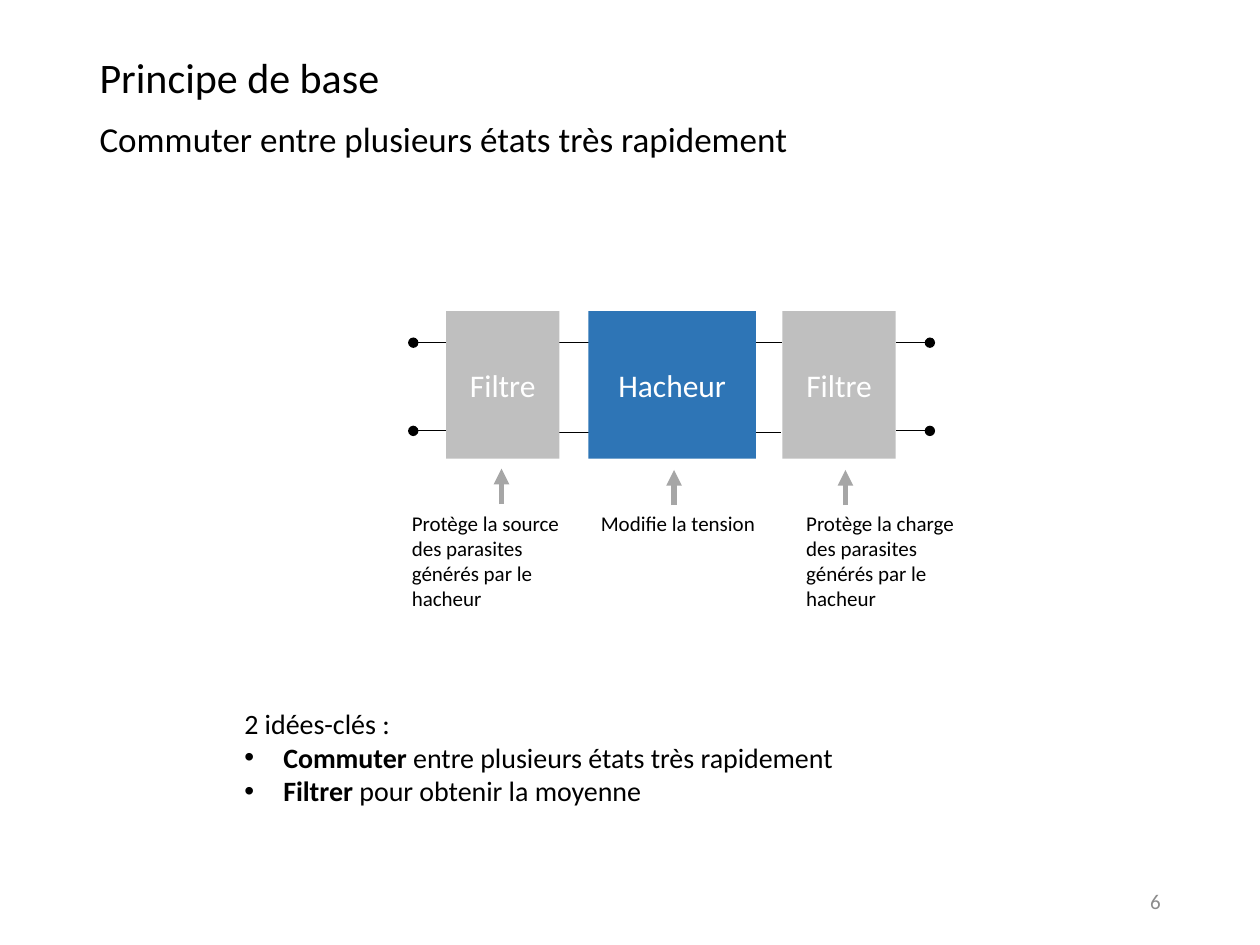
from dataclasses import dataclass

from lxml import etree
from pptx import Presentation
from pptx.dml.color import RGBColor
from pptx.enum.shapes import MSO_CONNECTOR, MSO_SHAPE
from pptx.enum.text import MSO_ANCHOR, MSO_AUTO_SIZE, PP_ALIGN
from pptx.oxml.ns import qn
from pptx.util import Inches, Pt

LINE, RECT = MSO_CONNECTOR.STRAIGHT, MSO_SHAPE.RECTANGLE
LEFT, MID, RIGHT = PP_ALIGN.LEFT, PP_ALIGN.CENTER, PP_ALIGN.RIGHT
TOP, CENTER = MSO_ANCHOR.TOP, MSO_ANCHOR.MIDDLE
FIXED = MSO_AUTO_SIZE.NONE

BLACK = RGBColor(0x00, 0x00, 0x00)
WHITE = RGBColor(0xFF, 0xFF, 0xFF)
SILVER = RGBColor(0xBF, 0xBF, 0xBF)
GREY = RGBColor(0xA6, 0xA6, 0xA6)
DIM = RGBColor(0x8C, 0x8C, 0x8C)
BLUE = RGBColor(0x2E, 0x75, 0xB6)
FONT = "Calibri"


@dataclass
class Wire:
    start: tuple[float, float]
    end: tuple[float, float]
    color: RGBColor = BLACK
    width: float = 0.5
    head: str = ""
    tail: str = ""


@dataclass
class Stage:
    label: str
    left: float
    width: float
    fill: RGBColor


@dataclass
class Note:
    text: str
    left: float
    tip: tuple[float, float]
    height: float


WIRES = [Wire((4.43, 3.43), (6.2, 3.43)), Wire((4.44, 2.72), (6.21, 2.72))]
WIRES += [
    Wire((outer, y), (inner, y), head="oval")
    for outer, inner in ((3.28, 3.54), (7.38, 7.11))
    for y in (2.72, 3.42)
]
STAGES = [
    Stage("Filtre", 3.54, 0.9, SILVER),
    Stage("Filtre", 6.21, 0.9, SILVER),
    Stage("Hacheur", 4.67, 1.33, BLUE),
]
NOTES = [
    Note("Protège la source des parasites générés par le hacheur",
         3.17, (3.98, 3.72), 0.91),
    Note("Modifie la tension", 4.67, (5.35, 3.73), 0.3),
    Note("Protège la charge des parasites générés par le hacheur",
         6.3, (6.71, 3.73), 0.91),
]
IDEAS = [
    ("Commuter", " entre plusieurs états très rapidement"),
    ("Filtrer", " pour obtenir la moyenne"),
]


def style(para, size: float, color: RGBColor = BLACK, align=LEFT) -> None:
    para.alignment = align
    para.font.name = FONT
    para.font.size = Pt(size)
    para.font.color.rgb = color


def place(shape, left: float, top: float, width: float, height: float) -> None:
    shape.left, shape.top = Inches(left), Inches(top)
    shape.width, shape.height = Inches(width), Inches(height)


def add_text(slide, box: tuple, text: str, size: float,
             color: RGBColor = BLACK, align=LEFT, anchor=TOP):
    frame = slide.shapes.add_textbox(*map(Inches, box)).text_frame
    frame.word_wrap = True
    frame.vertical_anchor = anchor
    frame.text = text
    style(frame.paragraphs[0], size, color, align)
    return frame


def fill_holder(holder, box: tuple, text: str, size: float, anchor) -> None:
    place(holder, *box)
    frame = holder.text_frame
    frame.text = text
    frame.auto_size = FIXED
    frame.vertical_anchor = anchor
    para = frame.paragraphs[0]
    para.line_spacing = 0.9
    para.space_before = Pt(0)
    set_bullet(para, 0)
    style(para, size)


def set_bullet(para, indent: float, char: str = "") -> None:
    props = para._p.get_or_add_pPr()
    props.set("marL", str(Inches(indent)))
    props.set("indent", str(Inches(-indent)))
    if char:
        face = etree.SubElement(props, qn("a:buFont"))
        face.set("typeface", "Arial")
        etree.SubElement(props, qn("a:buChar")).set("char", char)
    else:
        etree.SubElement(props, qn("a:buNone"))


def add_wire(slide, wire: Wire) -> None:
    ends = map(Inches, (*wire.start, *wire.end))
    link = slide.shapes.add_connector(LINE, *ends)
    link.line.color.rgb = wire.color
    link.line.width = Pt(wire.width)
    line = link.line._get_or_add_ln()
    for tag, kind in (("a:headEnd", wire.head), ("a:tailEnd", wire.tail)):
        if kind:
            etree.SubElement(line, qn(tag)).set("type", kind)
    etree.SubElement(link._element.spPr, qn("a:effectLst"))


def add_stage(slide, stage: Stage) -> None:
    box = map(Inches, (stage.left, 2.47, stage.width, 1.17))
    shape = slide.shapes.add_shape(RECT, *box)
    shape.shadow.inherit = False
    shape.fill.solid()
    shape.fill.fore_color.rgb = stage.fill
    shape.line.fill.background()
    shape.text_frame.text = stage.label
    shape.text_frame.vertical_anchor = CENTER
    style(shape.text_frame.paragraphs[0], 18, WHITE, MID)


def add_note(slide, note: Note) -> None:
    add_text(slide, (note.left, 4, 1.62, note.height), note.text, 12)
    x, y = note.tip
    add_wire(slide, Wire((x, y + 0.28), (x, y), GREY, 3, tail="triangle"))


def add_ideas(slide) -> None:
    frame = add_text(slide, (1.84, 5.56, 6.95, 0.91), "2 idées-clés :", 16)
    for verb, rest in IDEAS:
        para = frame.add_paragraph()
        set_bullet(para, 0.31, "•")
        style(para, 16)
        lead = para.add_run()
        lead.text = verb
        lead.font.bold = True
        para.add_run().text = rest


def main() -> None:
    deck = Presentation()
    deck.slide_width, deck.slide_height = Inches(10), Inches(7.5)
    slide = deck.slides.add_slide(deck.slide_layouts[1])
    fill_holder(slide.shapes.title, (0.69, 0.4, 8.62, 0.46),
                "Principe de base", 24, CENTER)
    fill_holder(slide.placeholders[1], (0.69, 0.92, 8.62, 0.4),
                "Commuter entre plusieurs états très rapidement", 20, TOP)
    for wire in WIRES:
        add_wire(slide, wire)
    for stage in STAGES:
        add_stage(slide, stage)
    for note in NOTES:
        add_note(slide, note)
    add_ideas(slide)
    add_text(slide, (7.06, 6.95, 2.25, 0.4), "6", 12, DIM, RIGHT, CENTER)
    deck.save("out.pptx")


if __name__ == "__main__":
    main()
